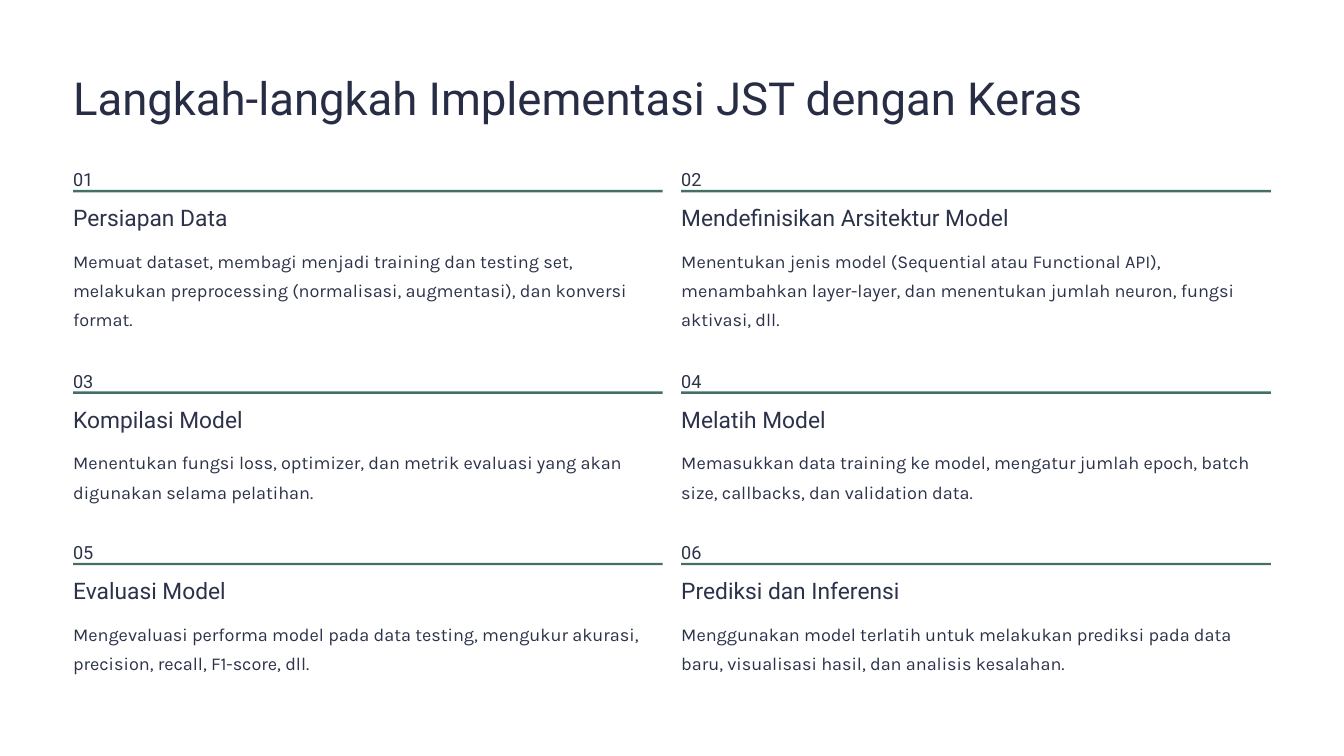
"""Build the slide on the steps for implementing a neural network with Keras."""
from pptx import Presentation
from pptx.dml.color import RGBColor
from pptx.enum.shapes import MSO_SHAPE
from pptx.enum.text import MSO_ANCHOR, MSO_AUTO_SIZE, PP_ALIGN
from pptx.util import Emu, Pt

RECTANGLE = MSO_SHAPE.RECTANGLE
TOP = MSO_ANCHOR.TOP
LEFT = PP_ALIGN.LEFT
NO_AUTOFIT = MSO_AUTO_SIZE.NONE

EMU_PER_PX = 9144
COLORS = {"background": "FFFFFF", "title": "272D45", "text": "2C3249", "rule": "437066"}
HEADING_FONT, BODY_FONT = "Roboto", "Karla"

MARGIN = 87
COLUMN_WIDTH = 702
COLUMN_GAP = 22
TITLE_WIDTH = 2 * COLUMN_WIDTH + COLUMN_GAP
ROW_TOPS = [192, 432, 636]
BODY_HEIGHTS = [104, 69, 69]

STEPS = [
    ("Persiapan Data", 271,
     "Memuat dataset, membagi menjadi training dan testing set, melakukan "
     "preprocessing (normalisasi, augmentasi), dan konversi format."),
    ("Mendefinisikan Arsitektur Model", 383,
     "Menentukan jenis model (Sequential atau Functional API), menambahkan "
     "layer-layer, dan menentukan jumlah neuron, fungsi aktivasi, dll."),
    ("Kompilasi Model", 271,
     "Menentukan fungsi loss, optimizer, dan metrik evaluasi yang akan "
     "digunakan selama pelatihan."),
    ("Melatih Model", 271,
     "Memasukkan data training ke model, mengatur jumlah epoch, batch size, "
     "callbacks, dan validation data."),
    ("Evaluasi Model", 271,
     "Mengevaluasi performa model pada data testing, mengukur akurasi, "
     "precision, recall, F1-score, dll."),
    ("Prediksi dan Inferensi", 271,
     "Menggunakan model terlatih untuk melakukan prediksi pada data baru, "
     "visualisasi hasil, dan analisis kesalahan."),
]


def px(*lengths):
    return [Emu(length * EMU_PER_PX) for length in lengths]


def rgb(name):
    return RGBColor.from_string(COLORS[name])


def format_text(frame, text, size, leading, font=HEADING_FONT, color="text", wrap=False):
    frame.text = text
    frame.word_wrap = wrap
    frame.auto_size = NO_AUTOFIT
    frame.vertical_anchor = TOP
    frame.margin_left = frame.margin_top = frame.margin_right = frame.margin_bottom = 0
    paragraph = frame.paragraphs[0]
    paragraph.alignment = LEFT
    paragraph.space_before = Pt(0)
    paragraph.line_spacing = Pt(leading)
    run_font = paragraph.runs[0].font
    run_font.name = font
    run_font.size = Pt(size)
    run_font.color.rgb = rgb(color)


def add_title(slide, text):
    title = slide.shapes.title
    title.left, title.top, title.width, title.height = px(MARGIN, 81, TITLE_WIDTH, 68)
    format_text(title.text_frame, text, 39, 48.5, color="title", wrap=True)


def add_text(slide, box, text, size, leading, **style):
    textbox = slide.shapes.add_textbox(*px(*box))
    format_text(textbox.text_frame, text, size, leading, **style)


def add_rule(slide, left, top):
    rule = slide.shapes.add_shape(RECTANGLE, *px(left, top, COLUMN_WIDTH, 3))
    rule.shadow.inherit = False
    rule.fill.solid()
    rule.fill.fore_color.rgb = rgb("rule")
    rule.line.fill.background()


def add_step(slide, index, heading, heading_width, body):
    row, column = divmod(index, 2)
    left = MARGIN + column * (COLUMN_WIDTH + COLUMN_GAP)
    top = ROW_TOPS[row]
    add_text(slide, (left, top, 22, 27), f"{index + 1:02d}", 15.5, 25)
    add_rule(slide, left, top + 34)
    add_text(slide, (left, top + 50, heading_width, 34), heading, 19.5, 24)
    add_text(slide, (left, top + 97, COLUMN_WIDTH, BODY_HEIGHTS[row]), body, 15.5, 25,
             font=BODY_FONT, wrap=True)


def main():
    presentation = Presentation()
    presentation.slide_width, presentation.slide_height = px(1600, 900)
    slide = presentation.slides.add_slide(presentation.slide_layouts[5])
    slide.background.fill.solid()
    slide.background.fill.fore_color.rgb = rgb("background")
    add_title(slide, "Langkah-langkah Implementasi JST dengan Keras")
    for index, step in enumerate(STEPS):
        add_step(slide, index, *step)
    presentation.save("out.pptx")


if __name__ == "__main__":
    main()
